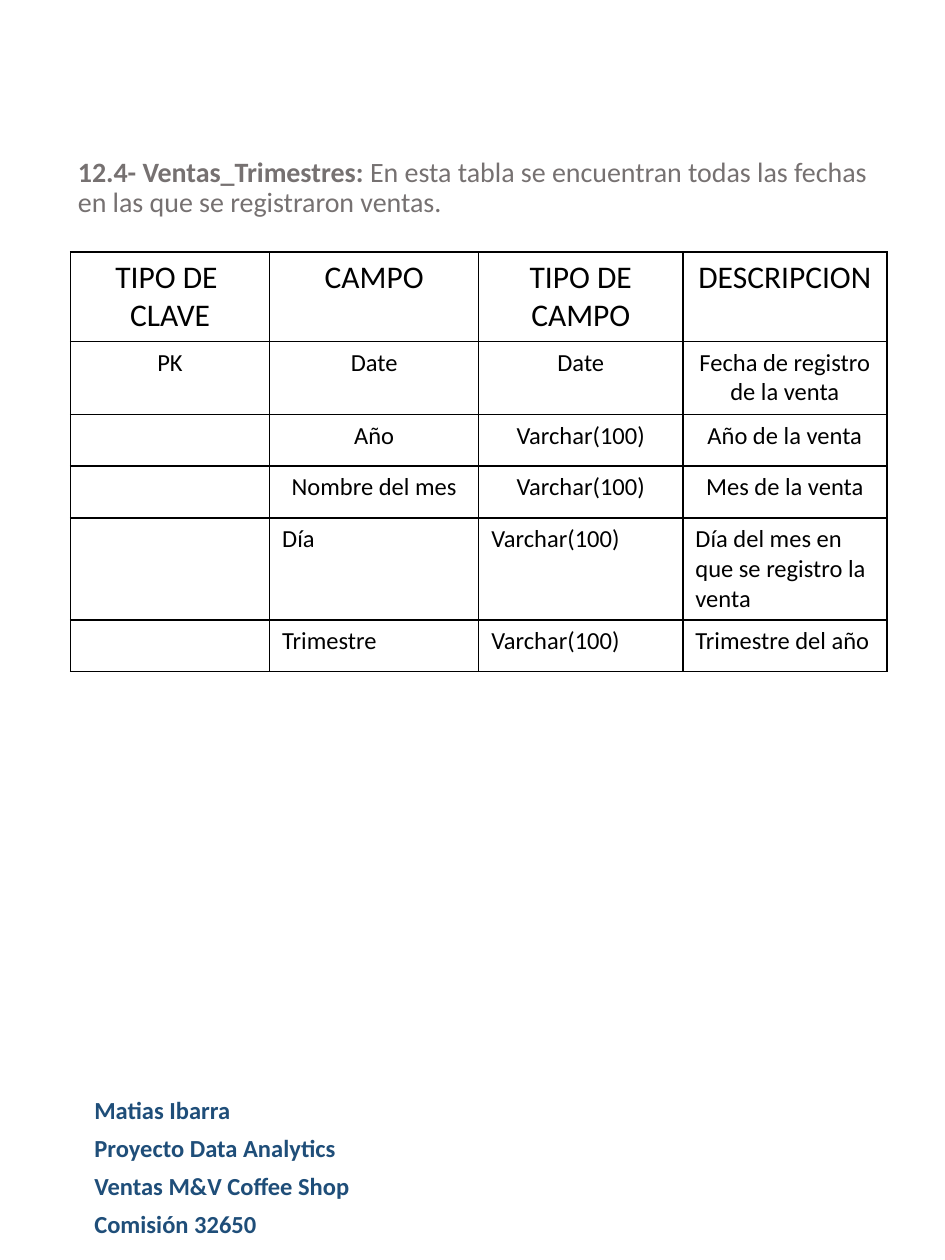
from lxml.etree import SubElement
from pptx import Presentation
from pptx.dml.color import RGBColor
from pptx.enum.text import MSO_ANCHOR as Anchor, PP_ALIGN as Align
from pptx.oxml.ns import qn
from pptx.util import Inches, Pt

FONT = "Calibri"
HEADINGS = ["TIPO DE\u00a0\nCLAVE", "CAMPO", "TIPO DE CAMPO", "DESCRIPCION"]
FIELDS = [
    ["PK", "Date", "Date", "Fecha de registro de la venta"],
    ["", "Año", "Varchar(100)", "Año de la venta"],
    ["", "Nombre del mes", "Varchar(100)", "Mes de la venta"],
    ["", "Día", "Varchar(100)", "Día del mes en que se registro la venta"],
    ["", "Trimestre", "Varchar(100)", "Trimestre del año"],
]
COLUMN_WIDTHS = [1.58, 1.66, 1.62, 1.62]
ROW_HEIGHTS = [0.71, 0.58, 0.41, 0.41, 0.81, 0.41]
CENTERED_ROWS = 4
CREDITS = [
    "Matias Ibarra",
    "Proyecto Data Analytics",
    "Ventas M&V Coffee Shop",
    "Comisión 32650",
]


def color(value):
    """Turn a hex string into a colour."""
    return RGBColor.from_string(value)


def set_font(font, size, value, bold=False):
    """Apply the slide's typeface with a size, colour and weight."""
    font.name = FONT
    font.size = Pt(size)
    font.color.rgb = color(value)
    font.bold = bold


def add_text_frame(slide, left, top, width, height):
    """Add a wrapping, vertically centred text box and return its frame."""
    frame = slide.shapes.add_textbox(
        Inches(left), Inches(top), Inches(width), Inches(height)
    ).text_frame
    frame.word_wrap = True
    frame.vertical_anchor = Anchor.MIDDLE
    return frame


def add_heading(slide, left, top, width, height):
    """Place the section name and its explanation."""
    heading = add_text_frame(slide, left, top, width, height).paragraphs[0]
    heading.line_spacing = 0.9
    set_font(heading.font, 16, "767171")
    section = heading.add_run()
    section.text = "12.4- Ventas_Trimestres:"
    section.font.bold = True
    heading.add_run().text = (
        " En esta tabla se encuentran todas las fechas"
        " en las que se registraron ventas."
    )


def add_borders(cell, value, width):
    """Draw the four borders of a cell."""
    properties = cell._tc.get_or_add_tcPr()
    for position, side in enumerate(("a:lnL", "a:lnR", "a:lnT", "a:lnB")):
        border = SubElement(properties, qn(side), w=str(Pt(width)))
        fill = SubElement(border, qn("a:solidFill"))
        SubElement(fill, qn("a:srgbClr"), val=value)
        properties.insert(position, border)


def add_field_table(slide, left, top):
    """Place the table that describes each field."""
    rows = [HEADINGS] + FIELDS
    table = slide.shapes.add_table(
        len(rows), len(HEADINGS), Inches(left), Inches(top),
        Inches(sum(COLUMN_WIDTHS)), Inches(sum(ROW_HEIGHTS)),
    ).table
    table.first_row = False
    table.horz_banding = False
    for column, width in zip(table.columns, COLUMN_WIDTHS):
        column.width = Inches(width)
    for index, (row, height, words) in enumerate(zip(table.rows, ROW_HEIGHTS, rows)):
        row.height = Inches(height)
        for cell, wording in zip(row.cells, words):
            cell.fill.background()
            add_borders(cell, "000000", 1)
            cell.text_frame.text = wording
            for paragraph in cell.text_frame.paragraphs:
                paragraph.alignment = Align.CENTER if index < CENTERED_ROWS else Align.LEFT
                set_font(paragraph.font, 14 if index else 18, "000000")


def add_credits(slide, left, top, width, height):
    """Place the author and project lines."""
    frame = add_text_frame(slide, left, top, width, height)
    frame.text = "\n".join(CREDITS)
    for index, paragraph in enumerate(frame.paragraphs):
        paragraph.space_before = Pt(5 if index else 0)
        set_font(paragraph.font, 14, "1F4E79", bold=True)


def main():
    """Build and save the slide."""
    deck = Presentation()
    deck.slide_width, deck.slide_height = Inches(7.5), Inches(10)
    slide = deck.slides.add_slide(deck.slide_layouts[6])
    add_heading(slide, 0.52, 0.53, 6.47, 1.93)
    add_credits(slide, 0.65, 8.42, 3.15, 1.68)
    add_field_table(slide, 0.56, 2)
    deck.save("out.pptx")


if __name__ == "__main__":
    main()
